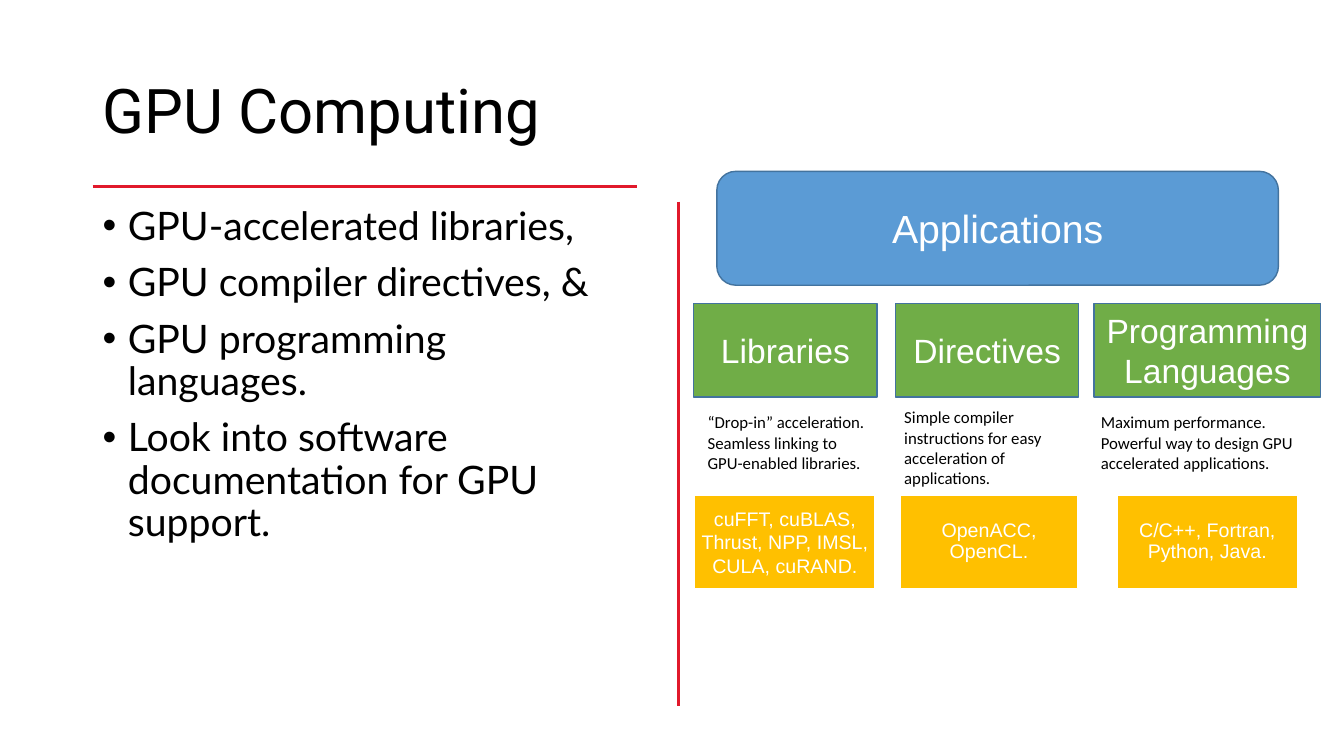
from lxml.etree import SubElement
from pptx import Presentation
from pptx.dml.color import RGBColor
from pptx.enum.shapes import MSO_CONNECTOR, MSO_SHAPE
from pptx.enum.text import MSO_ANCHOR, PP_ALIGN
from pptx.oxml.ns import qn
from pptx.util import Inches, Pt

RED = RGBColor(0xE1, 0x19, 0x2B)
BLUE = RGBColor(0x5B, 0x9B, 0xD5)
EDGE = RGBColor(0x43, 0x73, 0x9E)
GREEN = RGBColor(0x70, 0xAD, 0x47)
GOLD = RGBColor(0xFF, 0xC0, 0x00)
WHITE = RGBColor(0xFF, 0xFF, 0xFF)
BLACK = RGBColor(0x00, 0x00, 0x00)

deck = Presentation()
deck.slide_width = Inches(13.33)
deck.slide_height = Inches(7.5)
slide = deck.slides.add_slide(deck.slide_layouts[6])
shapes = slide.shapes


def write(shape, text, size, font, color=BLACK, align=PP_ALIGN.LEFT,
          anchor=MSO_ANCHOR.TOP, spacing=1.0, before=0, bullet=False, inset=None):
    """Fill a shape with one paragraph per line of text."""
    frame = shape.text_frame
    frame.word_wrap = True
    frame.vertical_anchor = anchor
    if inset is not None:
        frame.margin_left = frame.margin_right = Inches(inset)
        frame.margin_top = frame.margin_bottom = Inches(inset)
    frame.text = text
    for para in frame.paragraphs:
        para.alignment = align
        para.line_spacing = spacing
        para.space_before = Pt(before)
        para.font.size = Pt(size)
        para.font.name = font
        para.font.color.rgb = color
        if bullet:
            props = para._p.get_or_add_pPr()
            props.set("marL", str(Inches(0.25)))
            props.set("indent", str(-Inches(0.25)))
            SubElement(props, qn("a:buFont")).set("typeface", "Arial")
            SubElement(props, qn("a:buChar")).set("char", "•")
            # The schema wants defRPr after the bullet elements
            props.append(props.find(qn("a:defRPr")))


def block(kind, left, top, width, height, fill, edge, text, size, **style):
    """Add a filled shape with white centred text."""
    shape = shapes.add_shape(kind, Inches(left), Inches(top), Inches(width), Inches(height))
    shape.shadow.inherit = False
    shape.fill.solid()
    shape.fill.fore_color.rgb = fill
    shape.line.color.rgb = edge
    shape.line.width = Pt(1)
    write(shape, text, size, "Arial", color=WHITE, align=PP_ALIGN.CENTER,
          anchor=MSO_ANCHOR.MIDDLE, **style)


# Red rules under the title and between the halves
for x1, y1, x2, y2 in [(0.92, 1.85, 6.32, 1.85), (6.73, 2, 6.73, 7)]:
    rule = shapes.add_connector(MSO_CONNECTOR.STRAIGHT, Inches(x1), Inches(y1),
                                Inches(x2), Inches(y2))
    rule.line.color.rgb = RED
    rule.line.width = Pt(2)
    SubElement(rule._element.spPr, qn("a:effectLst"))

# Title and bullets
title = shapes.add_textbox(Inches(0.92), Inches(0.4), Inches(5.41), Inches(1.45))
write(title, "GPU Computing", 44, "Roboto", anchor=MSO_ANCHOR.MIDDLE, spacing=0.9)

points = [
    "GPU-accelerated libraries,",
    "GPU compiler directives, &",
    "GPU programming languages.",
    "Look into software documentation for GPU support.",
]
body = shapes.add_textbox(Inches(0.92), Inches(2), Inches(5.41), Inches(4.76))
write(body, "\n".join(points), 28, "Lato", spacing=0.9, before=10, bullet=True)

# Applications, and the three ways to speed them up
block(MSO_SHAPE.ROUNDED_RECTANGLE, 7.11, 1.7, 5.57, 1.13, BLUE, EDGE, "Applications", 28)

# Each part: left, width, text; notes also have top and height
ways = [
    ((6.88, 1.82, "Libraries"),
     (6.92, 4.04, 1.76, 0.71,
      "“Drop-in” acceleration. Seamless linking to GPU-enabled libraries."),
     (6.89, 1.79, "cuFFT, cuBLAS, Thrust, NPP, IMSL, CULA, cuRAND."), 1.0),
    ((8.88, 1.82, "Directives"),
     (8.87, 3.99, 1.83, 0.91,
      "Simple compiler instructions for easy acceleration of applications."),
     (8.93, 1.76, "OpenACC, OpenCL."), 0.9),
    ((10.85, 2.25, "Programming Languages"),
     (10.82, 4.04, 2.33, 0.71,
      "Maximum performance. Powerful way to design GPU accelerated applications."),
     (11.08, 1.79, "C/C++, Fortran, Python, Java."), 0.9),
]
for head, note, tools, spacing in ways:
    left, width, text = head
    block(MSO_SHAPE.RECTANGLE, left, 3.01, width, 0.93, GREEN, EDGE, text, 24)

    left, top, width, height, text = note
    box = shapes.add_textbox(Inches(left), Inches(top), Inches(width), Inches(height))
    write(box, text, 12, "Calibri")

    left, width, text = tools
    block(MSO_SHAPE.RECTANGLE, left, 4.91, width, 0.93, GOLD, WHITE, text, 14,
          spacing=spacing, inset=0.06)

deck.save("out.pptx")
